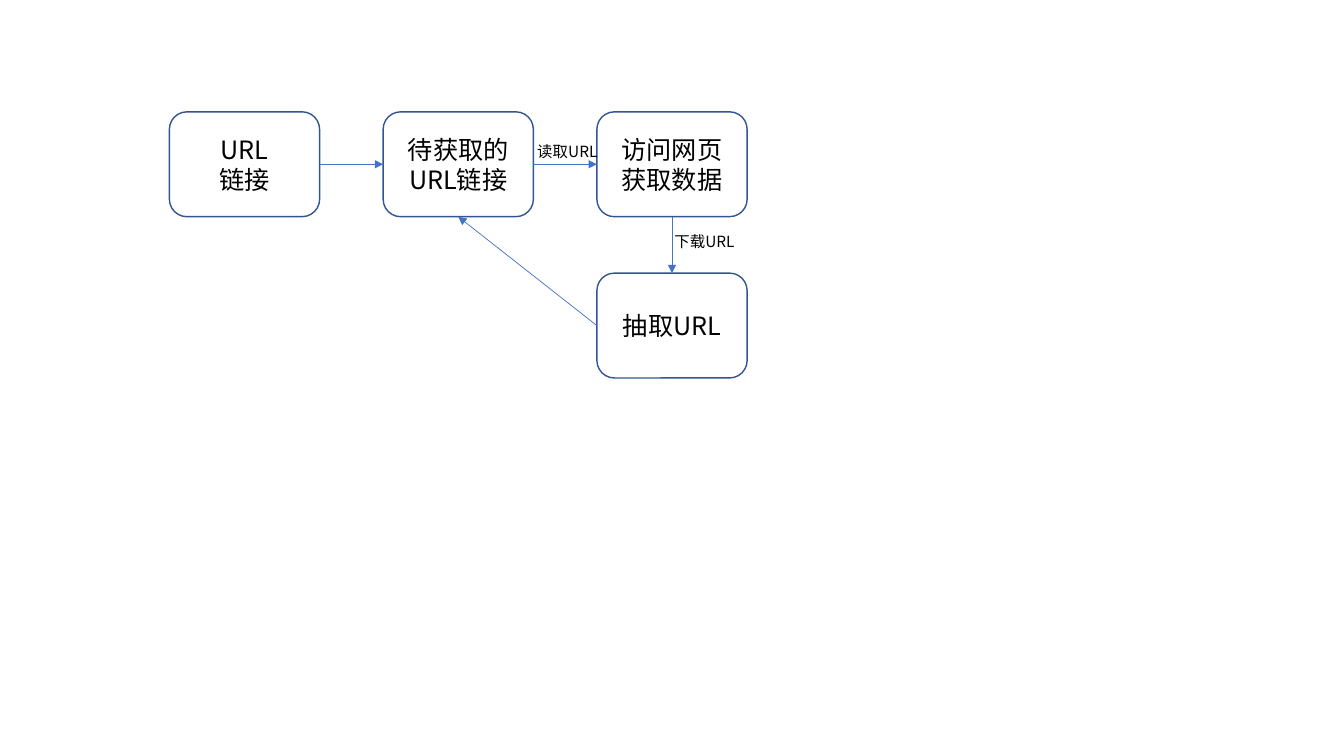
"""Build a flow chart slide of a crawler's URL loop."""
import pptx
import pptx.util
import pptx.dml.color
import pptx.enum.shapes
import pptx.enum.text
import pptx.oxml.ns
import lxml.etree

Inches, Pt = pptx.util.Inches, pptx.util.Pt
RGBColor = pptx.dml.color.RGBColor
WHITE = RGBColor(0xFF, 0xFF, 0xFF)
BLACK = RGBColor(0x00, 0x00, 0x00)
NAVY = RGBColor(0x32, 0x54, 0x91)
BLUE = RGBColor(0x44, 0x72, 0xC4)
FONT = "Noto Sans CJK SC"
LEFT, TOP = 1.68, 1.11
COLUMN, ROW = 2.12, 1.6
WIDTH, HEIGHT = 1.49, 1.04
TOP_SITE, LEFT_SITE, BOTTOM_SITE, RIGHT_SITE = range(4)


def add_child(parent, tag, **attributes):
    return lxml.etree.SubElement(parent, pptx.oxml.ns.qn(tag), attributes)


def write(frame, lines, size, align):
    frame.word_wrap = True
    for index, line in enumerate(lines):
        para = frame.add_paragraph() if index else frame.paragraphs[0]
        para.alignment = align
        span = para.add_run()
        span.text = line
        span.font.size = Pt(size)
        span.font.color.rgb = BLACK
        span.font.name = FONT
        add_child(span.font._element, "a:ea", typeface=FONT)


deck = pptx.Presentation()
deck.slide_width, deck.slide_height = Inches(13.33), Inches(7.5)
page = deck.slides.add_slide(deck.slide_layouts[6])

steps = {
    "links": (0, 0, ["URL", "链接"]),
    "queue": (1, 0, ["待获取的URL链接"]),
    "visit": (2, 0, ["访问网页获取数据"]),
    "extract": (2, 1, ["抽取URL"]),
}
boxes = {}
for name, (column, row, lines) in steps.items():
    box = page.shapes.add_shape(
        pptx.enum.shapes.MSO_SHAPE.FLOWCHART_ALTERNATE_PROCESS,
        Inches(LEFT + column * COLUMN), Inches(TOP + row * ROW),
        Inches(WIDTH), Inches(HEIGHT))
    box.shadow.inherit = False
    box.fill.solid()
    box.fill.fore_color.rgb = WHITE
    box.line.color.rgb = NAVY
    box.line.width = Pt(1)
    box.text_frame.vertical_anchor = pptx.enum.text.MSO_ANCHOR.MIDDLE
    write(box.text_frame, lines, 18, pptx.enum.text.PP_ALIGN.CENTER)
    boxes[name] = box

arrows = [
    ("links", RIGHT_SITE, "queue", LEFT_SITE),
    ("queue", RIGHT_SITE, "visit", LEFT_SITE),
    ("visit", BOTTOM_SITE, "extract", TOP_SITE),
    ("extract", LEFT_SITE, "queue", BOTTOM_SITE),
]
for source, source_site, target, target_site in arrows:
    arrow = page.shapes.add_connector(
        pptx.enum.shapes.MSO_CONNECTOR.STRAIGHT, 0, 0, 0, 0)
    arrow.begin_connect(boxes[source], source_site)
    arrow.end_connect(boxes[target], target_site)
    arrow.line.color.rgb = BLUE
    arrow.line.width = Pt(0.5)
    add_child(arrow.line._get_or_add_ln(), "a:tailEnd", type="triangle")
    add_child(arrow._element.spPr, "a:effectLst")

for left, top, caption in [(5.23, 1.36, "读取URL"), (6.59, 2.25, "下载URL")]:
    label = page.shapes.add_textbox(
        Inches(left), Inches(top), Inches(0.82), Inches(0.29))
    write(label.text_frame, [caption], 11, pptx.enum.text.PP_ALIGN.LEFT)
    label.text_frame.auto_size = pptx.enum.text.MSO_AUTO_SIZE.SHAPE_TO_FIT_TEXT

deck.save("out.pptx")
